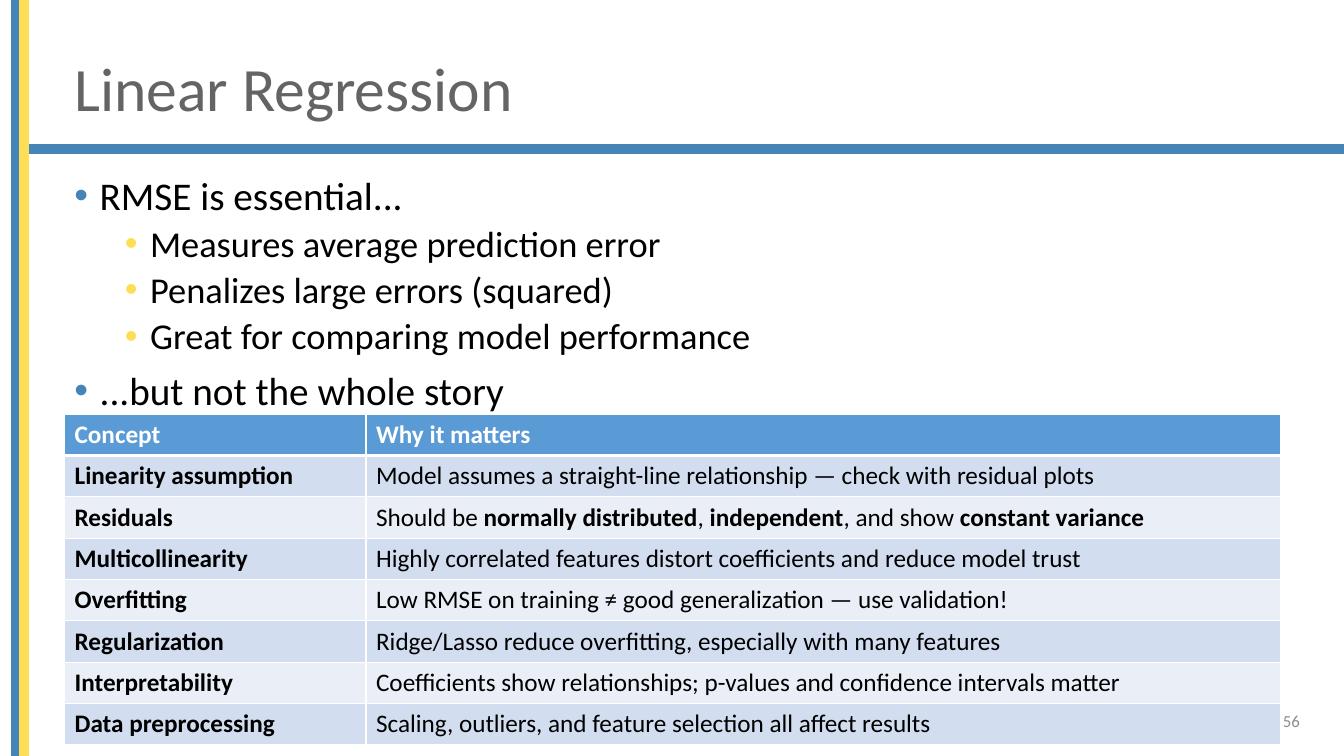
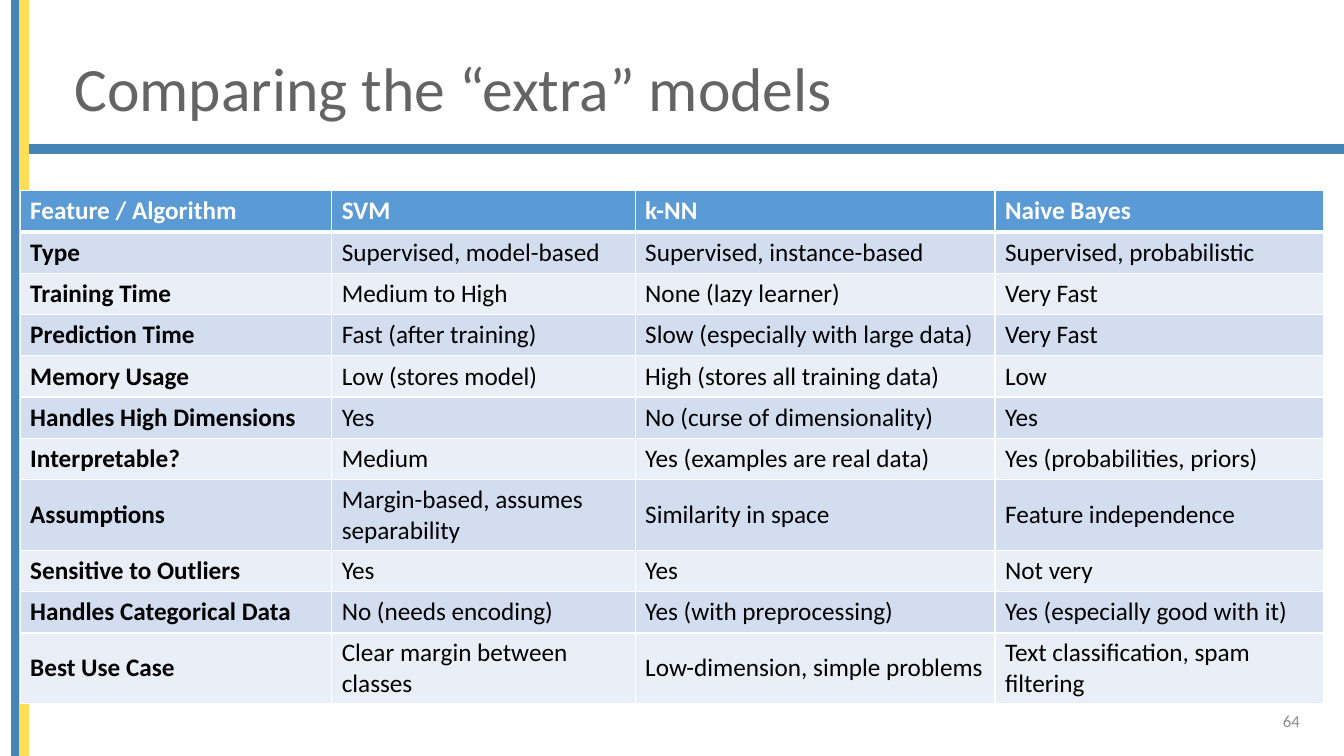
from lxml import etree
from pptx import Presentation
from pptx.dml.color import RGBColor
from pptx.enum.shapes import MSO_SHAPE as Shape
from pptx.enum.text import MSO_ANCHOR as Anchor, PP_ALIGN as Align
from pptx.oxml.ns import qn
from pptx.util import Inches, Pt

BLUE = RGBColor(0x45, 0x84, 0xB6)
YELLOW = RGBColor(0xFF, 0xDE, 0x57)
TITLE_GREY = RGBColor(0x64, 0x64, 0x64)
NUMBER_GREY = RGBColor(0x8C, 0x8C, 0x8C)
BLACK = RGBColor(0, 0, 0)
WHITE = RGBColor(0xFF, 0xFF, 0xFF)
HEADER_FILL = RGBColor(0x5B, 0x9B, 0xD5)
ROW_FILLS = (RGBColor(0xD2, 0xDE, 0xEF), RGBColor(0xEA, 0xEF, 0xF7))

FONT = "Calibri"
PAGE_WIDTH, PAGE_HEIGHT = 13.33, 7.5
ROW_HEIGHT = 0.41

# Per level: size, left margin, space before, bullet colour
BULLET_LEVELS = ((28, 0.25, 10, BLUE), (26, 0.75, 5, YELLOW))

REGRESSION_POINTS = (
    (0, "RMSE is essential..."),
    (1, "Measures average prediction error"),
    (1, "Penalizes large errors (squared)"),
    (1, "Great for comparing model performance"),
    (0, "...but not the whole story"),
)

# Text between double asterisks is bold
REGRESSION_ROWS = (
    ("Concept", "Why it matters"),
    ("Linearity assumption",
     "Model assumes a straight-line relationship — check with residual plots"),
    ("Residuals",
     "Should be **normally distributed**, **independent**, and show **constant variance**"),
    ("Multicollinearity",
     "Highly correlated features distort coefficients and reduce model trust"),
    ("Overfitting", "Low RMSE on training ≠ good generalization — use validation!"),
    ("Regularization", "Ridge/Lasso reduce overfitting, especially with many features"),
    ("Interpretability",
     "Coefficients show relationships; p-values and confidence intervals matter"),
    ("Data preprocessing", "Scaling, outliers, and feature selection all affect results"),
)

MODEL_ROWS = (
    ("Feature / Algorithm", "SVM", "k-NN", "Naive Bayes"),
    ("Type", "Supervised, model-based", "Supervised, instance-based",
     "Supervised, probabilistic"),
    ("Training Time", "Medium to High", "None (lazy learner)", "Very Fast"),
    ("Prediction Time", "Fast (after training)", "Slow (especially with large data)",
     "Very Fast"),
    ("Memory Usage", "Low (stores model)", "High (stores all training data)", "Low"),
    ("Handles High Dimensions", "Yes", "No (curse of dimensionality)", "Yes"),
    ("Interpretable?", "Medium", "Yes (examples are real data)",
     "Yes (probabilities, priors)"),
    ("Assumptions", "Margin-based, assumes separability", "Similarity in space",
     "Feature independence"),
    ("Sensitive to Outliers", "Yes", "Yes", "Not very"),
    ("Handles Categorical Data", "No (needs encoding)", "Yes (with preprocessing)",
     "Yes (especially good with it)"),
    ("Best Use Case", "Clear margin between classes", "Low-dimension, simple problems",
     "Text classification, spam filtering"),
)


def set_font(font, size, color):
    font.name = FONT
    font.size = Pt(size)
    font.color.rgb = color


def add_band(page, left, top, width, height, color):
    band = page.shapes.add_shape(
        Shape.RECTANGLE, Inches(left), Inches(top), Inches(width), Inches(height))
    band.shadow.inherit = False
    band.fill.solid()
    band.fill.fore_color.rgb = color
    band.line.color.rgb = color
    band.line.width = Pt(1)


def add_text_frame(page, left, top, width, height, anchor=Anchor.MIDDLE):
    box = page.shapes.add_textbox(
        Inches(left), Inches(top), Inches(width), Inches(height))
    frame = box.text_frame
    frame.word_wrap = True
    frame.vertical_anchor = anchor
    return frame


def add_page(deck, title, number):
    """Add a page with the shared bands, title and page number."""
    page = deck.slides.add_slide(deck.slide_layouts[6])
    add_band(page, 0.2, 1.44, PAGE_WIDTH - 0.2, 0.08, BLUE)
    add_band(page, 0.12, 0, 0.08, PAGE_HEIGHT, BLUE)
    add_band(page, 0.2, 0, 0.08, PAGE_HEIGHT, YELLOW)

    para = add_text_frame(page, 0.64, 0.4, 11.78, 1.01).paragraphs[0]
    para.text = title
    para.line_spacing = 0.9
    set_font(para.font, 44, TITLE_GREY)

    para = add_text_frame(page, 9.99, 6.95, 3, 0.4).paragraphs[0]
    para.text = str(number)
    para.alignment = Align.RIGHT
    set_font(para.font, 12, NUMBER_GREY)
    return page


def set_bullet(para, margin, color):
    props = para._p.get_or_add_pPr()
    props.set("marL", str(Inches(margin)))
    props.set("indent", str(-Inches(0.25)))
    bullet_color = etree.SubElement(props, qn("a:buClr"))
    etree.SubElement(bullet_color, qn("a:srgbClr"), val=str(color))
    etree.SubElement(props, qn("a:buFont"), typeface="Arial")
    etree.SubElement(props, qn("a:buChar"), char="•")


def add_bullets(page, points, left, top, width, height):
    frame = add_text_frame(page, left, top, width, height, Anchor.TOP)
    for index, (level, text) in enumerate(points):
        size, margin, space, color = BULLET_LEVELS[level]
        para = frame.add_paragraph() if index else frame.paragraphs[0]
        para.text = text
        para.level = level
        set_bullet(para, margin, color)
        para.line_spacing = 0.9
        if index:
            para.space_before = Pt(space)
        set_font(para.font, size, BLACK)


def set_borders(cell, top, bottom):
    """Draw white cell borders; top and bottom widths are in points."""
    props = cell._tc.get_or_add_tcPr()
    for side, width in (("L", 1), ("R", 1), ("T", top), ("B", bottom)):
        line = etree.SubElement(props, qn(f"a:ln{side}"), w=str(Pt(width)))
        fill = etree.SubElement(line, qn("a:solidFill"))
        etree.SubElement(fill, qn("a:srgbClr"), val=str(WHITE))


def fill_cell(cell, text, row, column):
    is_header = row == 0
    set_borders(cell, top=3 if row == 1 else 1, bottom=3 if is_header else 1)
    cell.fill.solid()
    cell.fill.fore_color.rgb = HEADER_FILL if is_header else ROW_FILLS[(row - 1) % 2]
    cell.vertical_anchor = Anchor.MIDDLE
    para = cell.text_frame.paragraphs[0]
    set_font(para.font, 18, WHITE if is_header else BLACK)
    for index, part in enumerate(text.split("**")):
        span = para.add_run()
        span.text = part
        span.font.bold = is_header or column == 0 or index % 2 == 1


def add_grid(page, rows, left, top, widths):
    table = page.shapes.add_table(
        len(rows), len(widths), Inches(left), Inches(top),
        Inches(sum(widths)), Inches(ROW_HEIGHT * len(rows))).table
    for column, width in zip(table.columns, widths):
        column.width = Inches(width)
    for r, texts in enumerate(rows):
        table.rows[r].height = Inches(ROW_HEIGHT)
        for c, text in enumerate(texts):
            fill_cell(table.cell(r, c), text, r, c)


def main():
    deck = Presentation()
    deck.slide_width = Inches(PAGE_WIDTH)
    deck.slide_height = Inches(PAGE_HEIGHT)

    page = add_page(deck, "Linear Regression", 56)
    add_bullets(page, REGRESSION_POINTS, 0.64, 1.7, 12.35, 5.06)
    add_grid(page, REGRESSION_ROWS, 0.64, 4.11, (2.99, 9.07))

    page = add_page(deck, "Comparing the “extra” models", 64)
    add_grid(page, MODEL_ROWS, 0.2, 1.89, (3.09, 3.01, 3.57, 3.26))

    deck.save("out.pptx")


if __name__ == "__main__":
    main()
